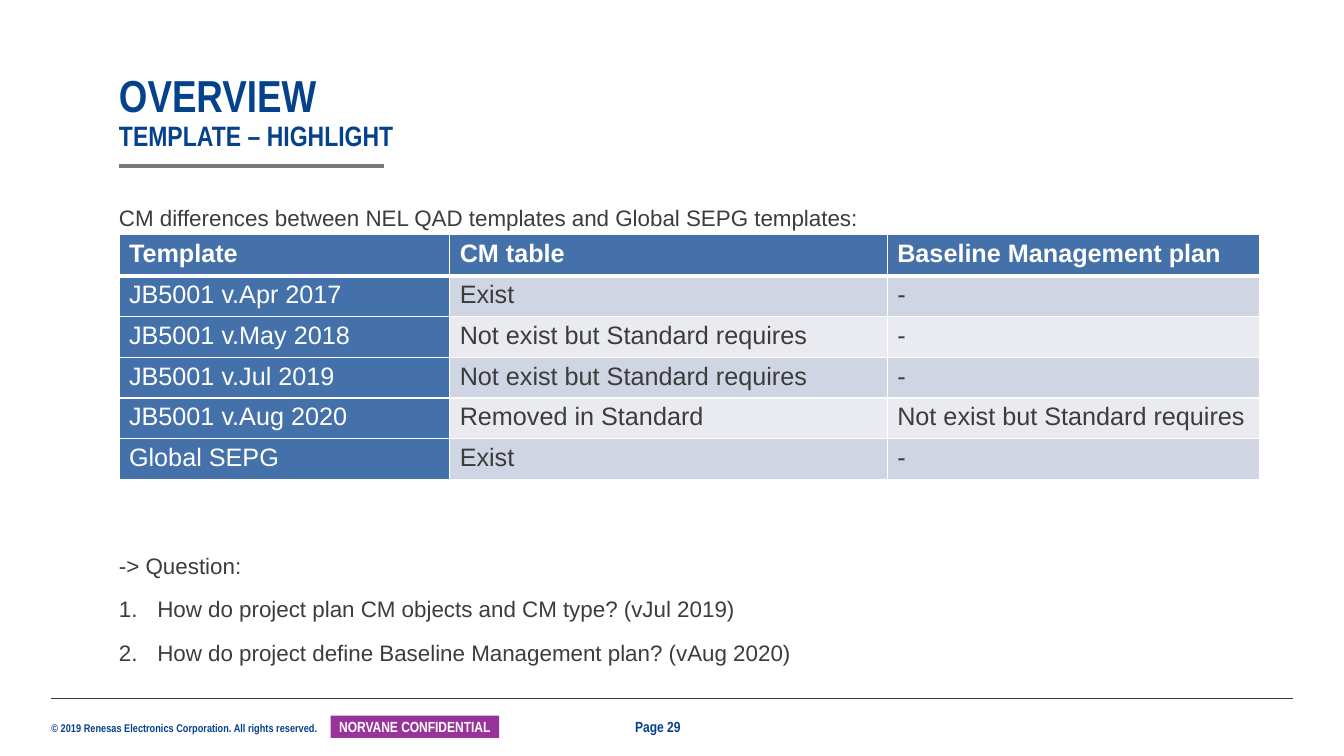
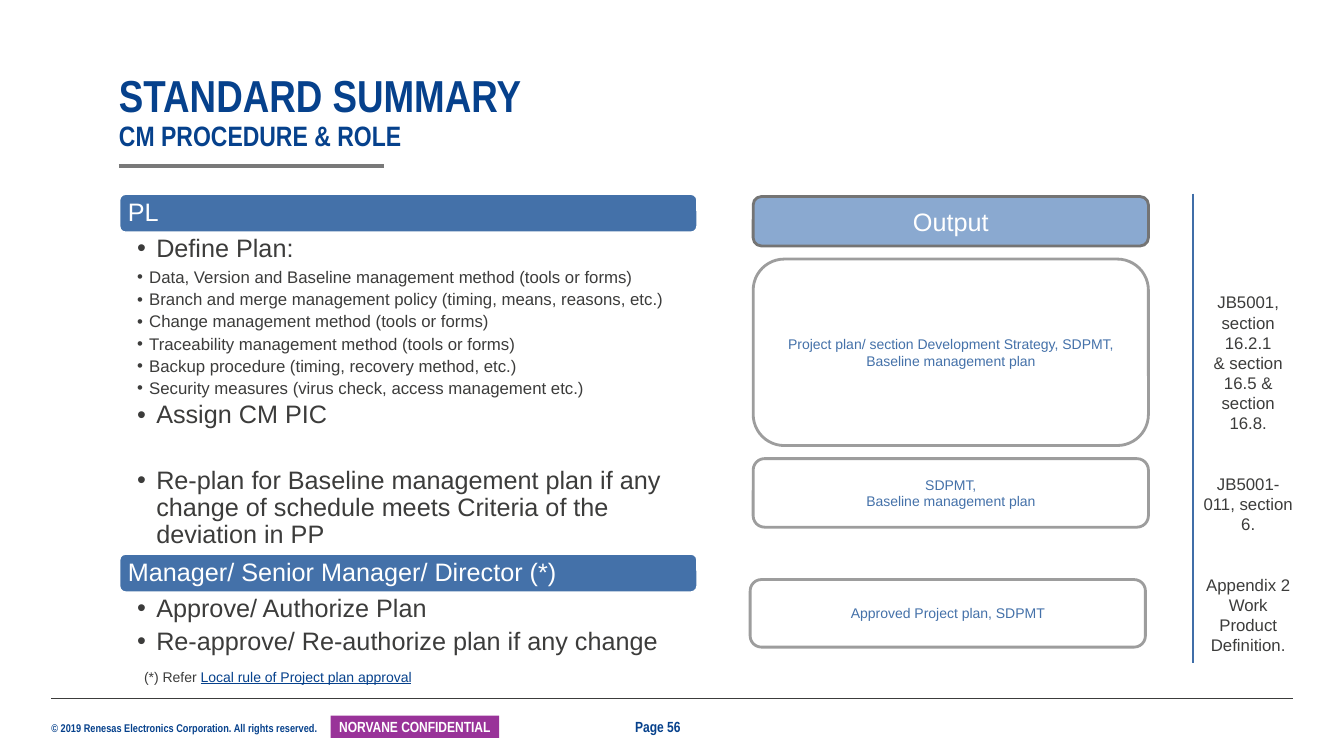
from dataclasses import dataclass, replace
from typing import Optional

from lxml.etree import SubElement as Sub
from pptx import Presentation
from pptx.dml.color import RGBColor
from pptx.enum.shapes import MSO_CONNECTOR as Link, MSO_SHAPE as Kind
from pptx.enum.text import MSO_ANCHOR as Anchor, MSO_AUTO_SIZE as Auto, PP_ALIGN as Align
from pptx.oxml.ns import qn
from pptx.util import Inches, Pt

# Shared colours and fonts
NAVY = RGBColor(0x06, 0x41, 0x8C)
BLUE = RGBColor(0x44, 0x71, 0xA9)
SKY = RGBColor(0x8A, 0xA9, 0xD0)
RULE = RGBColor(0x40, 0x6E, 0xA8)
INK = RGBColor(0x3C, 0x3C, 0x3B)
GRAY = RGBColor(0x79, 0x79, 0x79)
SLATE = RGBColor(0x74, 0x74, 0x74)
SILVER = RGBColor(0x9D, 0x9D, 0x9D)
PURPLE = RGBColor(0x99, 0x33, 0x99)
WHITE = RGBColor(0xFF, 0xFF, 0xFF)
BANDS = RGBColor(0xCF, 0xD5, 0xE2), RGBColor(0xE9, 0xEB, 0xF1)
SANS, SLIM = "Arial", "Arial Narrow"
LEFT = 1.18


@dataclass(frozen=True)
class Para:
    text: str
    size: float = 12
    color: RGBColor = INK
    font: str = SANS
    bold: bool = False
    align: Align = Align.LEFT
    space: float = 1.0
    before: float = 0
    after: float = 0
    mark: str = ""
    indent: float = 0


@dataclass(frozen=True)
class Box:
    left: float
    top: float
    width: float
    height: float

    def place(self) -> list:
        return [Inches(n) for n in (self.left, self.top, self.width, self.height)]


@dataclass(frozen=True)
class Card:
    box: Box
    lines: tuple
    size: float = 10
    color: RGBColor = BLUE
    fill: RGBColor = WHITE
    edge: Optional[RGBColor] = SILVER
    kind: Kind = Kind.ROUNDED_RECTANGLE
    align: Align = Align.CENTER
    pad: tuple = (0.1, 0.05, 0.1, 0.05)
    font: str = SANS
    bold: bool = False
    space: float = 1.0


def put(frame, paras: list, pad=(0, 0, 0, 0), anchor=Anchor.TOP, wrap=True):
    """Fill a text frame and return its last paragraph."""
    frame.auto_size = Auto.NONE
    frame.word_wrap = wrap
    frame.vertical_anchor = anchor
    (frame.margin_left, frame.margin_top,
     frame.margin_right, frame.margin_bottom) = map(Inches, pad)
    for i, item in enumerate(paras):
        para = frame.add_paragraph() if i else frame.paragraphs[0]
        para.alignment = item.align
        para.line_spacing = item.space
        para.space_before, para.space_after = Pt(item.before), Pt(item.after)
        # Bullet or number, with a hanging indent
        props = para._p.get_or_add_pPr()
        props.set("marL", str(Inches(item.indent)))
        props.set("indent", str(-Inches(item.indent)))
        if item.mark == "1.":
            Sub(props, qn("a:buAutoNum"), type="arabicPeriod")
        elif item.mark:
            Sub(props, qn("a:buChar"), char=item.mark)
        else:
            Sub(props, qn("a:buNone"))
        font = para.font
        font.name, font.size, font.bold = item.font, Pt(item.size), item.bold
        font.color.rgb = item.color
        if item.text:
            para.add_run().text = item.text
    return para


def move(shape, box: Box):
    shape.left, shape.top, shape.width, shape.height = box.place()
    return shape.text_frame


def note(slide, box: Box, paras: list, **style):
    return put(slide.shapes.add_textbox(*box.place()).text_frame, paras, **style)


def rule(slide, start: tuple, end: tuple, color: RGBColor, width: float) -> None:
    line = slide.shapes.add_connector(Link.STRAIGHT, *map(Inches, start + end))
    line.line.color.rgb, line.line.width = color, Pt(width)
    Sub(line._element.spPr, qn("a:effectLst"))


def draw(slide, card: Card) -> None:
    shape = slide.shapes.add_shape(card.kind, *card.box.place())
    shape.shadow.inherit = False
    shape.fill.solid()
    shape.fill.fore_color.rgb = card.fill
    if card.edge is None:
        shape.line.fill.background()
    else:
        shape.line.color.rgb, shape.line.width = card.edge, Pt(2)
    paras = [Para(text, card.size, card.color, card.font, card.bold, card.align, card.space)
             for text in card.lines]
    put(shape.text_frame, paras, card.pad, Anchor.MIDDLE)


def start(deck, layout: int, head: str, sub: str, page: int):
    """Add a slide with the shared title and footer."""
    slide = deck.slides.add_slide(deck.slide_layouts[layout])
    label = Para("", 10.5, NAVY, SLIM, True)
    # Footer
    note(slide, Box(0.51, 7.16, 2.75, 0.13),
         [replace(label, size=8,
                  text="© 2019 Renesas Electronics Corporation. All rights reserved.")],
         wrap=False)
    rule(slide, (0.51, 6.93), (12.82, 6.93), INK, 0.5)
    draw(slide, Card(Box(3.28, 7.1, 1.67, 0.22), ("NORVANE CONFIDENTIAL",), 10.5, WHITE,
                     PURPLE, None, Kind.RECTANGLE, pad=(0.04, 0, 0.04, 0),
                     font=SLIM, bold=True))
    note(slide, Box(6.3, 7.12, 0.73, 0.18), [replace(label, text=f"Page {page}")],
         anchor=Anchor.MIDDLE)
    # Title
    rule(slide, (LEFT, 1.65), (3.81, 1.65), GRAY, 3)
    frame = move(slide.shapes.title, Box(LEFT, 0.72, 9.84, 0.79))
    para = put(frame, [replace(label, size=32, space=0.9)], anchor=Anchor.BOTTOM)
    para.add_run().text = head
    para.add_line_break()
    small = para.add_run()
    small.text, small.font.size = sub, Pt(20)
    return slide


def border(cell, base: float) -> None:
    props = cell._tc.get_or_add_tcPr()
    for i, (side, width) in enumerate(zip("LRTB", (1, 1, 1, base))):
        line = props.makeelement(qn(f"a:ln{side}"), {"w": str(Pt(width))})
        Sub(Sub(line, qn("a:solidFill")), qn("a:srgbClr"), val=str(WHITE))
        props.insert(i, line)


def grid(slide, box: Box, widths: tuple, rows: list) -> None:
    table = slide.shapes.add_table(len(rows), len(widths), *box.place()).table
    for col, width in zip(table.columns, widths):
        col.width = Inches(width)
    for r, row in enumerate(rows):
        for c, text in enumerate(row):
            cell = table.cell(r, c)
            dark = r == 0 or c == 0
            cell.fill.solid()
            cell.fill.fore_color.rgb = BLUE if dark else BANDS[(r - 1) % 2]
            border(cell, 1 if r else 3)
            para = cell.text_frame.paragraphs[0]
            para.text = text
            font = para.font
            font.name, font.size, font.bold = SANS, Pt(18), r == 0
            font.color.rgb = WHITE if dark else INK


def themes(deck) -> None:
    slide = start(deck, 1, "OVERVIEW", "TEMPLATE – HIGHLIGHT", 29)
    text = Para("", 16, space=1.2, after=8)
    item = replace(text, mark="1.", indent=0.38)
    put(move(slide.placeholders[1], Box(LEFT, 1.97, 11.32, 4.68)), [
        replace(text, text="CM differences between NEL QAD templates and Global SEPG templates:"),
        replace(text, text="-> Question:", before=217.5),
        replace(item, text="How do project plan CM objects and CM type? (vJul 2019)"),
        replace(item, text="How do project define Baseline Management plan? (vAug 2020)"),
    ])
    need = "Not exist but Standard requires"
    grid(slide, Box(LEFT, 2.33, 11.32, 2.43), (3.28, 4.34, 3.69), [
        ("Template", "CM table", "Baseline Management plan"),
        ("JB5001 v.Apr 2017", "Exist", "-"),
        ("JB5001 v.May 2018", need, "-"),
        ("JB5001 v.Jul 2019", need, "-"),
        ("JB5001 v.Aug 2020", "Removed in Standard", need),
        ("Global SEPG", "Exist", "-"),
    ])


def roles(deck) -> None:
    slide = start(deck, 3, "STANDARD SUMMARY", "CM PROCEDURE & ROLE", 56)
    # Role bars and their tasks
    big = Para("", 18, space=0.9, after=4.3, mark="•", indent=0.19)
    small = replace(big, size=12, after=2.9, indent=0.12)
    steps = (
        "Data, Version and Baseline management method (tools or forms)",
        "Branch and merge management policy (timing, means, reasons, etc.)",
        "Change management method (tools or forms)",
        "Traceability management method (tools or forms)",
        "Backup procedure (timing, recovery method, etc.)",
        "Security measures (virus check, access management etc.)",
    )
    plan = [
        replace(big, text="Define Plan:"),
        *(replace(small, text=step) for step in steps),
        replace(big, text="Assign CM PIC"),
        replace(big, before=23, text="Re-plan for Baseline management plan if any change of "
                                     "schedule meets Criteria of the deviation in PP"),
    ]
    check = [replace(big, text="Approve/ Authorize Plan"),
             replace(big, text="Re-approve/ Re-authorize plan if any change")]
    parts = (("PL", 1.92, 3.19, plan),
             ("Manager/ Senior Manager/ Director (*)", 5.49, 0.53, check))
    for spot, (role, top, height, tasks) in enumerate(parts, 1):
        draw(slide, Card(Box(LEFT, top, 5.74, 0.39), (role,), 18, WHITE, BLUE, WHITE,
                         align=Align.LEFT, pad=(0.07, 0, 0.07, 0), space=0.9))
        put(move(slide.placeholders[spot], Box(LEFT, top + 0.39, 5.74, height)), tasks,
            pad=(0.18, 0.03, 0.14, 0.03))
    # Source sections
    ref = Para("", align=Align.CENTER)
    note(slide, Box(11.82, 2.85, 1.12, 3.74), [
        replace(ref, text="JB5001, section 16.2.1"),
        replace(ref, text="& section 16.5 & section 16.8."),
        replace(ref, text="JB5001-011, section 6.", before=28.8),
        replace(ref, text="Appendix 2 Work Product Definition.", before=28.8),
    ], pad=(0.1, 0.05, 0.1, 0.05))
    rule(slide, (11.83, 1.92), (11.83, 6.58), RULE, 1.5)
    # Output cards
    base = "Baseline management plan"
    for card in (
        Card(Box(7.47, 2.57, 3.92, 1.85),
             ("Project plan/ section Development Strategy, SDPMT,", base)),
        Card(Box(7.47, 1.95, 3.92, 0.49), ("Output",), 18, WHITE, SKY, SLATE),
        Card(Box(7.47, 4.55, 3.92, 0.68), ("SDPMT,", base)),
        Card(Box(7.44, 5.75, 3.92, 0.67), ("Approved Project plan, SDPMT",)),
    ):
        draw(slide, card)
    # Footnote
    para = note(slide, Box(1.33, 6.58, 5.92, 0.27), [Para("(*) Refer ", 10)],
                pad=(0.1, 0.05, 0.1, 0.05))
    local = para.add_run()
    local.text = "Local rule of Project plan approval"
    local.font.underline = True
    local.font.color.rgb = NAVY


def main() -> None:
    deck = Presentation()
    deck.slide_width, deck.slide_height = Inches(13.33), Inches(7.5)
    themes(deck)
    roles(deck)
    deck.save("out.pptx")


if __name__ == "__main__":
    main()
